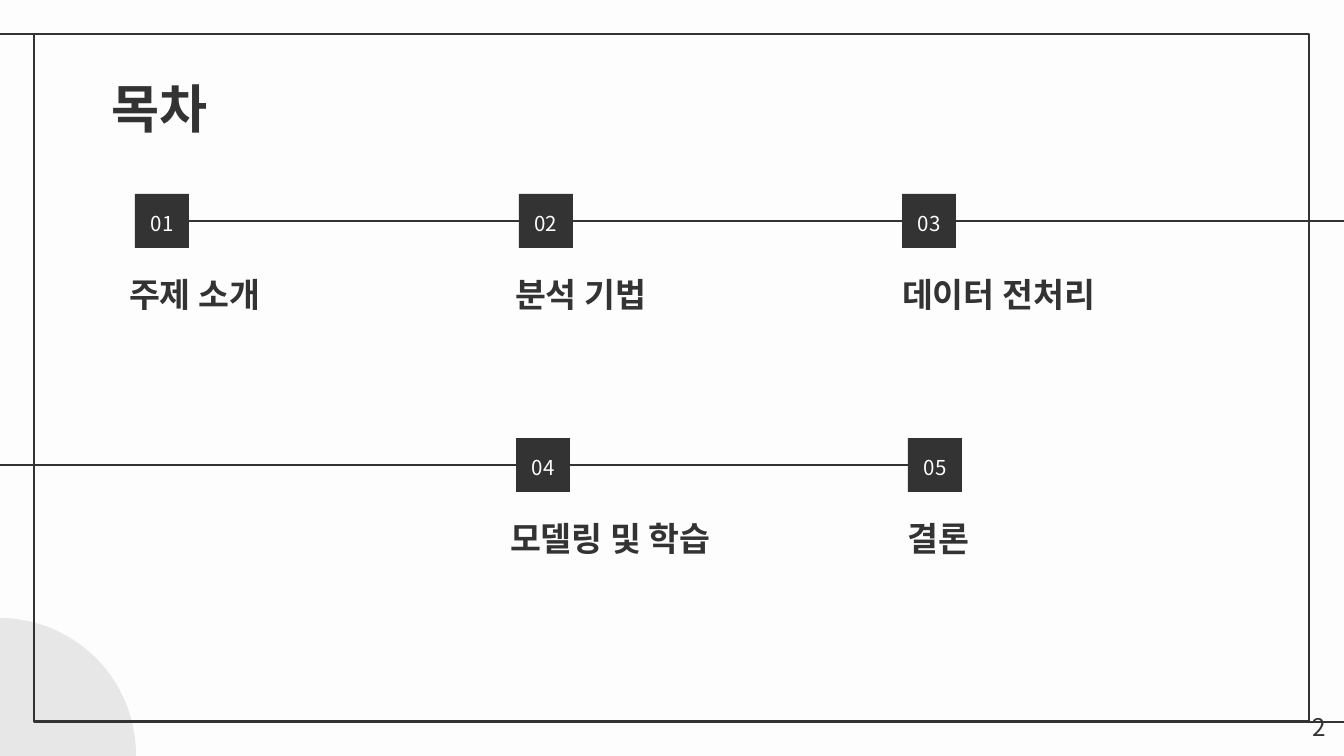
from lxml import etree
from pptx import Presentation
from pptx import util as u
from pptx.dml.color import RGBColor
from pptx.enum import shapes, text
from pptx.oxml.ns import qn

# Content: number, heading, badge left, heading left (px)
TITLE = "목차"
PAGE = "2"
ROWS = [
    {"badge_top": 194, "heading_top": 271, "steps": [
        ("01", "주제 소개", 135, 116),
        ("02", "분석 기법", 519, 502),
        ("03", "데이터 전처리", 902, 889)]},
    {"badge_top": 438, "heading_top": 515, "steps": [
        ("04", "모델링 및 학습", 516, 497),
        ("05", "결론", 908, 895)]},
]

THEME = {
    "font": "Noto Sans CJK KR",
    "paper": RGBColor.from_string("FDFDFD"),
    "ink": RGBColor.from_string("333333"),
    "circle": RGBColor.from_string("E8E7E7"),
    "line": u.Pt(1.5),
}
TITLE_STYLE = {"size": u.Pt(28), "bold": True}
HEADING_STYLE = {"size": u.Pt(18), "bold": True}
BADGE_STYLE = {"size": u.Pt(11), "bold": False}
PAGE_STYLE = {"size": u.Pt(13), "bold": False}

SLIDE_W, SLIDE_H = 1344, 756
FRAME = (34, 34, 1275, 688)
BADGE = 54
INSET = 13
MIDDLE, BOTTOM = text.MSO_ANCHOR.MIDDLE, text.MSO_ANCHOR.BOTTOM
LEFT, CENTER, RIGHT = text.PP_ALIGN.LEFT, text.PP_ALIGN.CENTER, text.PP_ALIGN.RIGHT


def px(n):
    return round(n * 914400 / 134.4)


def add_shape(kind, box, fill=None, outline=False):
    shape = slide.shapes.add_shape(kind, *map(px, box))
    shape.shadow.inherit = False
    if fill is None:
        shape.fill.background()
    else:
        shape.fill.solid()
        shape.fill.fore_color.rgb = fill
    if outline:
        shape.line.color.rgb, shape.line.width = THEME["ink"], THEME["line"]
    else:
        shape.line.fill.background()
    return shape


def add_line(x1, y1, x2, y2):
    line = slide.shapes.add_connector(
        shapes.MSO_CONNECTOR.STRAIGHT, *map(px, (x1, y1, x2, y2)))
    line.line.color.rgb, line.line.width = THEME["ink"], THEME["line"]
    etree.SubElement(line._element.spPr, qn("a:effectLst"))
    return line


def write(shape, words, style, color, align=LEFT, anchor=MIDDLE, spacing=1.0):
    frame = shape.text_frame
    frame_format = {"word_wrap": True, "auto_size": text.MSO_AUTO_SIZE.NONE,
                    "vertical_anchor": anchor}
    for side in ("left", "top", "right", "bottom"):
        frame_format[f"margin_{side}"] = px(INSET)
    for name, value in frame_format.items():
        setattr(frame, name, value)
    paragraph = frame.paragraphs[0]
    paragraph.alignment, paragraph.line_spacing = align, spacing
    run = paragraph.add_run()
    run.text = words
    for name, value in {**style, "name": THEME["font"]}.items():
        setattr(run.font, name, value)
    run.font.color.rgb = color
    # Korean glyphs take the East Asian typeface
    etree.SubElement(run._r.get_or_add_rPr(), qn("a:ea"), typeface=THEME["font"])


def add_text(box, *args, **kwargs):
    write(slide.shapes.add_textbox(*map(px, box)), *args, **kwargs)


prs = Presentation()
prs.slide_width, prs.slide_height = px(SLIDE_W), px(SLIDE_H)
slide = prs.slides.add_slide(prs.slide_layouts[5])
slide.background.fill.solid()
slide.background.fill.fore_color.rgb = THEME["paper"]

# Corner circle and frame with its two stubs
add_shape(shapes.MSO_SHAPE.OVAL, (-138, 618, 274, 274), THEME["circle"])
add_shape(shapes.MSO_SHAPE.RECTANGLE, FRAME, outline=True)
left, top, width, height = FRAME
add_line(left, top, 0, top)
add_line(left + width, top + height, SLIDE_W, top + height)

# Title
title = slide.shapes.title
title.left, title.top, title.width, title.height = map(px, (98, 66, 1133, 84))
write(title, TITLE, TITLE_STYLE, THEME["ink"])

# Timeline tracks lie behind the badges
tracks = []
for row, edge in zip(ROWS, (SLIDE_W, 0)):
    y = row["badge_top"] + BADGE / 2
    tracks.append(add_line(edge, y, SLIDE_W / 2, y))

# Numbered badges and their headings
badges = {}
for row in ROWS:
    for number, heading, badge_left, heading_left in row["steps"]:
        badges[number] = add_shape(
            shapes.MSO_SHAPE.RECTANGLE,
            (badge_left, row["badge_top"], BADGE, BADGE), THEME["ink"])
        write(badges[number], number, BADGE_STYLE, THEME["paper"],
              align=CENTER, spacing=1.15)
        add_text((heading_left, row["heading_top"], 339, 56), heading,
                 HEADING_STYLE, THEME["ink"], anchor=BOTTOM, spacing=1.15)

# The first track leaves 01 on its right, the second reaches 05 on its left
tracks[0].end_connect(badges["01"], 3)
tracks[1].end_connect(badges["05"], 1)

# Page number
add_text((1258, 698, 81, 58), PAGE, PAGE_STYLE, THEME["ink"], align=RIGHT)

prs.save("out.pptx")
